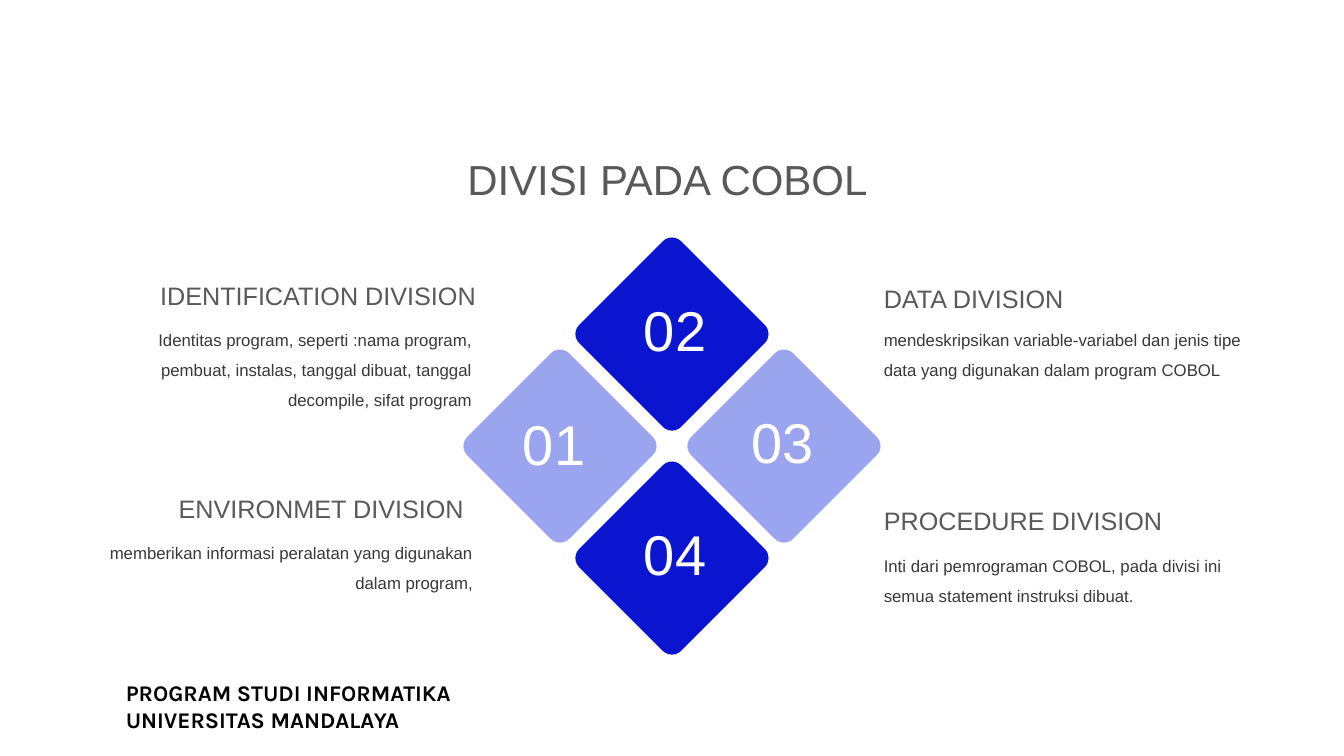
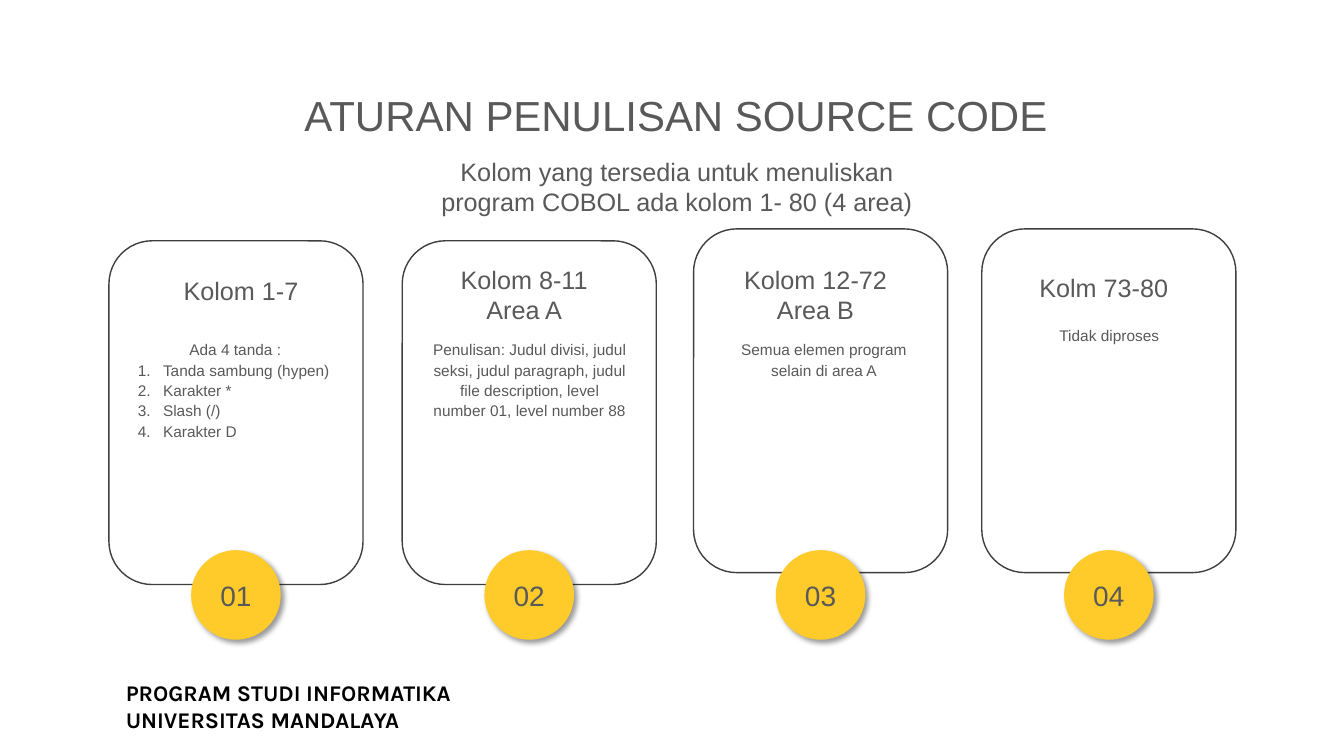
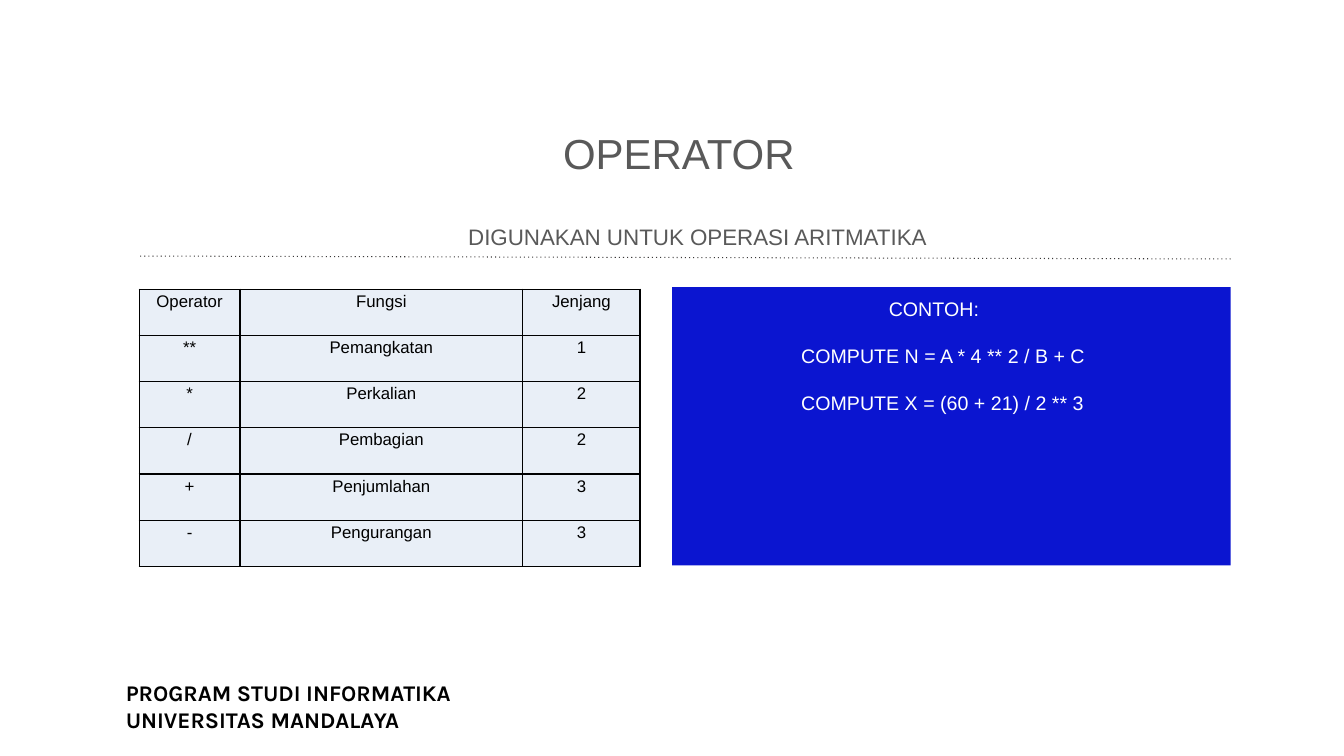
"""Build three slides on COBOL divisions, column rules and operators."""
from dataclasses import dataclass
from typing import NamedTuple

from lxml import etree
from pptx import Presentation
from pptx.dml.color import RGBColor
from pptx.enum.dml import MSO_LINE
from pptx.enum.shapes import MSO_CONNECTOR, MSO_SHAPE
from pptx.enum.text import MSO_ANCHOR, PP_ALIGN
from pptx.oxml.ns import qn
from pptx.util import Pt

LEFT, CENTER, RIGHT = PP_ALIGN.LEFT, PP_ALIGN.CENTER, PP_ALIGN.RIGHT
TOP, MIDDLE = MSO_ANCHOR.TOP, MSO_ANCHOR.MIDDLE
RECTANGLE, ROUNDED, OVAL = MSO_SHAPE.RECTANGLE, MSO_SHAPE.ROUNDED_RECTANGLE, MSO_SHAPE.OVAL
STRAIGHT = MSO_CONNECTOR.STRAIGHT
DOTTED = MSO_LINE.ROUND_DOT

BLACK = RGBColor(0x00, 0x00, 0x00)
WHITE = RGBColor(0xFF, 0xFF, 0xFF)
GREY = RGBColor(0x59, 0x59, 0x59)
DARK = RGBColor(0x3A, 0x38, 0x38)
OUTLINE = RGBColor(0x3F, 0x3F, 0x3F)
BLUE = RGBColor(0x0B, 0x15, 0xD0)
LILAC = RGBColor(0x9A, 0xA4, 0xEF)
YELLOW = RGBColor(0xFF, 0xCB, 0x2A)
PALE = RGBColor(0xE9, 0xEF, 0xF7)


@dataclass(frozen=True)
class TextStyle:
    size: float
    color: RGBColor = GREY
    align: PP_ALIGN = CENTER
    spacing: float = 1.0
    bold: bool = False
    name: str = "Arial"


class Line(NamedTuple):
    text: str
    indent: float = 0
    numbered: bool = False
    before: float = 0


class Box(NamedTuple):
    left: float
    top: float
    width: float
    height: float


@dataclass(frozen=True)
class Division:
    name: str
    detail: str
    name_box: Box
    detail_box: Box
    align: PP_ALIGN


@dataclass(frozen=True)
class Diamond:
    number: str
    column: int
    row: int
    color: RGBColor
    number_left: float
    number_top: float


@dataclass(frozen=True)
class Card:
    number: str
    left: float
    top: float
    heading: list[Line]
    heading_shift: float
    heading_top: float
    body: list[Line]
    body_shift: float
    body_top: float


TITLE = TextStyle(30)
SUBTITLE = TextStyle(18)
FOOTER = TextStyle(16, BLACK, LEFT, bold=True, name="Karla")
DIAMOND_NUMBER = TextStyle(40, WHITE, LEFT)
CARD_BODY = TextStyle(11, spacing=1.1)
CELL = TextStyle(12, BLACK, spacing=1.15)
EXAMPLE = TextStyle(14, WHITE, LEFT)

DIAMOND_SIZE, DIAMOND_STEP = 103, 80
HUB_X, HUB_Y = 480, 318.6
CARD_WIDTH, CARD_HEIGHT, BADGE_SIZE, BADGE_TOP = 181.5, 245.5, 64, 393

DIVISIONS = [
    Division("DATA DIVISION",
             "mendeskripsikan variable-variabel dan jenis tipe data yang digunakan dalam program COBOL",
             Box(624.2, 198.7, 217, 29), Box(624.2, 224.6, 284.4, 70), LEFT),
    Division("PROCEDURE DIVISION",
             "Inti dari pemrograman COBOL, pada divisi ini semua statement instruksi dibuat.",
             Box(624.2, 357.1, 220, 29), Box(624.2, 385.9, 284.4, 48), LEFT),
    Division("IDENTIFICATION DIVISION",
             "Identitas program, seperti :nama program, pembuat, instalas, tanggal dibuat, "
             "tanggal decompile, sifat program",
             Box(74.2, 196.6, 272.9, 29), Box(59.8, 224.6, 284.4, 70), RIGHT),
    Division("ENVIRONMET DIVISION",
             "memberikan informasi peralatan yang digunakan dalam program,",
             Box(116.6, 348.5, 221.8, 29), Box(51.1, 376.6, 293.8, 48), RIGHT),
]

DIAMONDS = [
    Diamond("01", -1, 0, LILAC, 366.5, 288.7),
    Diamond("02", 0, -1, BLUE, 452.9, 207.4),
    Diamond("03", 1, 0, LILAC, 529.9, 287.3),
    Diamond("04", 0, 1, BLUE, 452.9, 367.9),
]

SIGNS = ["Tanda sambung (hypen)", "Karakter *", "Slash (/)", "Karakter D"]

CARDS = [
    Card("01", 77.8, 172, [Line("Kolom 1-7")], 21.6, 193,
         [Line("Ada 4 tanda :"), *(Line(sign, 18, True) for sign in SIGNS)], 13.6, 238.3),
    Card("02", 287.3, 172, [Line("Kolom 8-11"), Line("Area A")], 14.4, 185,
         [Line("Penulisan: Judul divisi, judul seksi, judul paragraph, judul file description, "
               "level number 01, level number 88")], 14.4, 238.3),
    Card("03", 495.4, 163.5, [Line("Kolom 12-72"), Line("Area B")], 14.4, 185,
         [Line("Semua elemen program selain di area A")], 16.5, 238.3),
    Card("04", 701.3, 163.5, [Line("Kolm 73-80")], 14.4, 190.8,
         [Line("Tidak diproses")], 14.4, 228.2),
]

OPERATORS = [
    ("Operator", "Fungsi", "Jenjang"),
    ("**", "Pemangkatan", "1"),
    ("*", "Perkalian", "2"),
    ("/", "Pembagian", "2"),
    ("+", "Penjumlahan", "3"),
    ("-", "Pengurangan", "3"),
]
OPERATOR_WIDTHS = (72, 202, 83.8)
OPERATOR_ROW = 33

EXAMPLES = [
    Line("CONTOH:", 147.6),
    Line("COMPUTE N = A * 4 ** 2 / B + C", 85, before=16.8),
    Line("COMPUTE X = (60 + 21) / 2 ** 3", 85, before=16.8),
]


def apply(target, values: dict) -> None:
    for attribute, value in values.items():
        setattr(target, attribute, value)


def write(frame, lines: list[Line], style: TextStyle) -> None:
    for index, line in enumerate(lines):
        paragraph = frame.add_paragraph() if index else frame.paragraphs[0]
        apply(paragraph, {
            "alignment": LEFT if line.numbered else style.align,
            "line_spacing": style.spacing,
            "space_before": Pt(line.before),
        })
        run = paragraph.add_run()
        run.text = line.text
        apply(run.font, {"size": Pt(style.size), "bold": style.bold, "name": style.name})
        run.font.color.rgb = style.color
        properties = paragraph._p.get_or_add_pPr()
        if line.indent:
            properties.set("marL", str(Pt(line.indent)))
        if line.numbered:
            properties.set("indent", str(-Pt(line.indent)))
            etree.SubElement(properties, qn("a:buAutoNum"), type="arabicPeriod")


def add_text(slide, box: Box, lines: list[Line], style: TextStyle) -> None:
    frame = slide.shapes.add_textbox(*map(Pt, box)).text_frame
    frame.word_wrap = True
    write(frame, lines, style)


def add_block(slide, kind: MSO_SHAPE, box: Box, fill: RGBColor, outline: RGBColor | None = None):
    block = slide.shapes.add_shape(kind, *map(Pt, box))
    block.shadow.inherit = False
    block.fill.solid()
    block.fill.fore_color.rgb = fill
    if outline is None:
        block.line.fill.background()
    else:
        block.line.color.rgb = outline
        block.line.width = Pt(1)
    return block


def start_slide(deck, title: str, center: float, top: float):
    slide = deck.slides.add_slide(deck.slide_layouts[6])
    footer = [Line("PROGRAM STUDI INFORMATIKA"), Line("UNIVERSITAS MANDALAYA")]
    add_text(slide, Box(82.8, 481.7, 472.3, 46), footer, FOOTER)
    add_text(slide, Box(center - 285, top, 570, 44), [Line(title)], TITLE)
    return slide


def add_division(slide, division: Division) -> None:
    add_text(slide, division.name_box, [Line(division.name)],
             TextStyle(18, align=division.align))
    add_text(slide, division.detail_box, [Line(division.detail)],
             TextStyle(12, DARK, division.align, 1.5))


def add_diamond(slide, diamond: Diamond) -> None:
    left = HUB_X + diamond.column * DIAMOND_STEP - DIAMOND_SIZE / 2
    top = HUB_Y + diamond.row * DIAMOND_STEP - DIAMOND_SIZE / 2
    tile = add_block(slide, ROUNDED, Box(left, top, DIAMOND_SIZE, DIAMOND_SIZE), diamond.color)
    tile.adjustments[0] = 0.09
    tile.rotation = 315
    add_text(slide, Box(diamond.number_left, diamond.number_top, 60.5, 55.4),
             [Line(diamond.number)], DIAMOND_NUMBER)


def add_soft_shadow(block) -> None:
    effects = block._element.spPr.find(qn("a:effectLst"))
    shadow = etree.SubElement(effects, qn("a:outerShdw"), blurRad=str(Pt(4)), dist=str(Pt(3)),
                              dir="2700000", algn="tl", rotWithShape="0")
    color = etree.SubElement(shadow, qn("a:srgbClr"), val=str(BLACK))
    etree.SubElement(color, qn("a:alpha"), val="40000")


def add_card(slide, card: Card) -> None:
    panel = add_block(slide, ROUNDED, Box(card.left, card.top, CARD_WIDTH, CARD_HEIGHT),
                      WHITE, OUTLINE)
    panel.adjustments[0] = 0.17
    add_text(slide, Box(card.left + card.heading_shift, card.heading_top, 145.4, 51),
             card.heading, SUBTITLE)
    add_text(slide, Box(card.left + card.body_shift, card.body_top, 153.4, 94),
             card.body, CARD_BODY)
    badge_left = card.left + (CARD_WIDTH - BADGE_SIZE) / 2
    badge = add_block(slide, OVAL, Box(badge_left, BADGE_TOP, BADGE_SIZE, BADGE_SIZE), YELLOW)
    add_soft_shadow(badge)
    badge.text_frame.vertical_anchor = MIDDLE
    write(badge.text_frame, [Line(card.number)], TextStyle(20))


def add_borders(cell) -> None:
    properties = cell._tc.get_or_add_tcPr()
    for index, side in enumerate(("lnL", "lnR", "lnT", "lnB")):
        border = etree.Element(qn(f"a:{side}"), w=str(Pt(1)))
        fill = etree.SubElement(border, qn("a:solidFill"))
        etree.SubElement(fill, qn("a:srgbClr"), val=str(BLACK))
        properties.insert(index, border)


def add_operator_table(slide) -> None:
    box = Box(99.4, 206.6, sum(OPERATOR_WIDTHS), OPERATOR_ROW * len(OPERATORS))
    table = slide.shapes.add_table(len(OPERATORS), len(OPERATOR_WIDTHS), *map(Pt, box)).table
    apply(table, {"first_row": False, "horz_banding": False})
    for column, width in zip(table.columns, OPERATOR_WIDTHS):
        column.width = Pt(width)
    for row, texts in zip(table.rows, OPERATORS):
        row.height = Pt(OPERATOR_ROW)
        for cell, text in zip(row.cells, texts):
            apply(cell, {"margin_left": Pt(5), "margin_right": Pt(5),
                         "margin_top": 0, "margin_bottom": 0})
            cell.fill.solid()
            cell.fill.fore_color.rgb = PALE
            add_borders(cell)
            write(cell.text_frame, [Line(text)], CELL)


def add_divider(slide) -> None:
    divider = slide.shapes.add_connector(STRAIGHT, Pt(879.1), Pt(185), Pt(99.4), Pt(182.9))
    divider.line.color.rgb = DARK
    apply(divider.line, {"width": Pt(0.75), "dash_style": DOTTED})
    properties = divider._element.spPr
    properties.find(".//" + qn("a:prstDash")).set("val", "dot")
    etree.SubElement(properties, qn("a:effectLst"))


def build_divisions(deck) -> None:
    slide = start_slide(deck, "DIVISI PADA COBOL", 476.9, 105.8)
    for diamond in DIAMONDS:
        add_diamond(slide, diamond)
    for division in DIVISIONS:
        add_division(slide, division)


def build_columns(deck) -> None:
    slide = start_slide(deck, "ATURAN PENULISAN SOURCE CODE", 483.1, 60.5)
    intro = "Kolom yang tersedia untuk menuliskan program COBOL ada kolom 1- 80 (4 area)"
    add_text(slide, Box(291.6, 108, 383.8, 51), [Line(intro)], SUBTITLE)
    for card in CARDS:
        add_card(slide, card)


def build_operators(deck) -> None:
    slide = start_slide(deck, "OPERATOR", 485, 87.8)
    add_text(slide, Box(128.2, 155.5, 740.2, 26.6),
             [Line("DIGUNAKAN UNTUK OPERASI ARITMATIKA")], TextStyle(16))
    add_divider(slide)
    add_operator_table(slide)
    panel = add_block(slide, RECTANGLE, Box(480.2, 205.2, 398.9, 198.7), BLUE)
    apply(panel.text_frame, {"vertical_anchor": TOP, "margin_top": Pt(7)})
    write(panel.text_frame, EXAMPLES, EXAMPLE)


def main() -> None:
    deck = Presentation()
    apply(deck, {"slide_width": Pt(960), "slide_height": Pt(540)})
    for build in (build_divisions, build_columns, build_operators):
        build(deck)
    deck.save("out.pptx")


if __name__ == "__main__":
    main()
